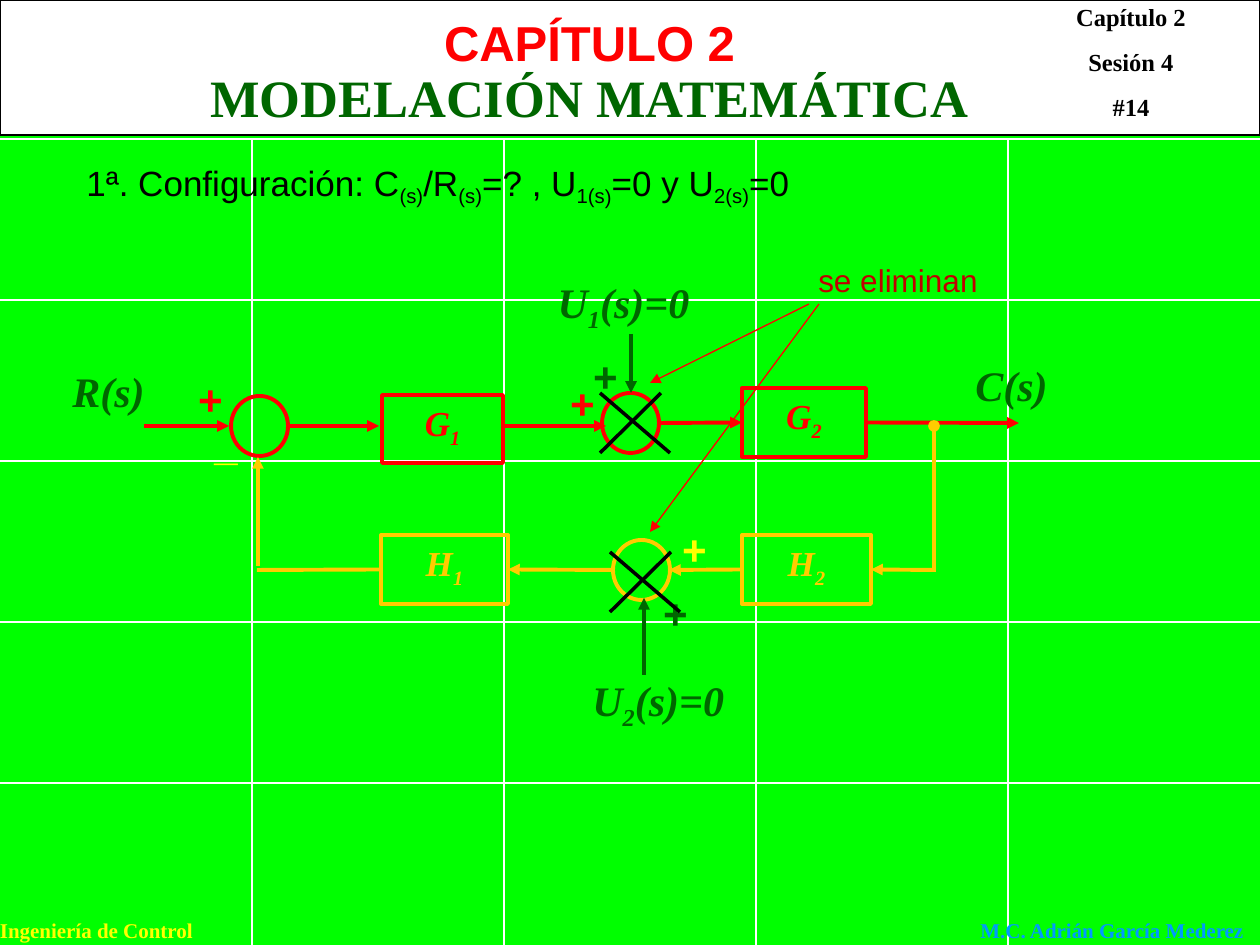
import pptx
import pptx.util
import pptx.dml.color
import pptx.enum.shapes
import pptx.enum.text
import pptx.oxml.ns
from lxml import etree

SCALE = 914400 / 126
WIDTH, HEIGHT = 1260, 945
Color = pptx.dml.color.RGBColor
WHITE = Color(0xFF, 0xFF, 0xFF)
BLACK = Color(0x00, 0x00, 0x00)
BRIGHT_GREEN = Color(0x00, 0xFF, 0x00)
DARK_GREEN = Color(0x00, 0x66, 0x00)
RED = Color(0xFF, 0x00, 0x00)
DARK_RED = Color(0xC0, 0x00, 0x00)
GOLD = Color(0xFF, 0xCC, 0x00)
YELLOW = Color(0xFF, 0xFF, 0x00)
BLUE = Color(0x00, 0x99, 0xFF)
SERIF, SANS = "Times New Roman", "Arial"
LEFT = pptx.enum.text.PP_ALIGN.LEFT
CENTER = pptx.enum.text.PP_ALIGN.CENTER
SHAPES = pptx.enum.shapes.MSO_SHAPE
TOP_SIDE, LEFT_SIDE, BOTTOM_SIDE, RIGHT_SIDE = range(4)


def px(length):
    """Turn pixels into EMU."""
    return pptx.util.Emu(round(length * SCALE))


def fill_frame(frame, paragraphs, size, font, color, bold=False, italic=False,
               align=LEFT, gap=0):
    """Write paragraphs of runs; a run is a text or a (text, baseline) pair."""
    for index, runs in enumerate(paragraphs):
        para = frame.add_paragraph() if index else frame.paragraphs[0]
        para.alignment = align
        if index:
            para.space_before = pptx.util.Pt(gap)
        for run in runs:
            text, baseline = run if isinstance(run, tuple) else (run, 0)
            span = para.add_run()
            span.text = text
            span.font.size = pptx.util.Pt(size)
            span.font.name = font
            span.font.color.rgb = color
            span.font.bold = bold
            span.font.italic = italic
            if baseline:
                span.font._element.set("baseline", str(baseline * 1000))


def add_text(page, bounds, paragraphs, size, font, color, wrap=True, **style):
    """Add a text box."""
    box = page.shapes.add_textbox(*map(px, bounds))
    box.text_frame.word_wrap = wrap
    fill_frame(box.text_frame, paragraphs, size, font, color, **style)


def add_outline(page, kind, bounds, color, weight=2.25, fill=None):
    """Add an outlined shape, hollow unless a fill is given."""
    shape = page.shapes.add_shape(kind, *map(px, bounds))
    shape.shadow.inherit = False
    shape.line.color.rgb = color
    shape.line.width = pptx.util.Pt(weight)
    if fill is None:
        shape.fill.background()
    else:
        shape.fill.solid()
        shape.fill.fore_color.rgb = fill
    return shape


def add_block(page, bounds, letter, index, color):
    """Add a transfer-function block with a subscripted name."""
    block = add_outline(page, SHAPES.RECTANGLE, bounds, color)
    block.text_frame.vertical_anchor = pptx.enum.text.MSO_ANCHOR.TOP
    fill_frame(block.text_frame, [[letter, (index, -25)]], 20, SERIF, color,
               bold=True, italic=True, align=CENTER)
    return block


def add_line(page, ends, color, weight=2.25, tip=None, start=None, finish=None):
    """Add a straight line, with an optional tip and joined blocks."""
    line = page.shapes.add_connector(
        pptx.enum.shapes.MSO_CONNECTOR.STRAIGHT, *map(px, ends))
    line.line.color.rgb = color
    line.line.width = pptx.util.Pt(weight)
    if tip:
        tail = etree.SubElement(line.line._get_or_add_ln(), pptx.oxml.ns.qn("a:tailEnd"))
        tail.set("type", tip)
    etree.SubElement(line._element.spPr, pptx.oxml.ns.qn("a:effectLst"))
    if start:
        line.begin_connect(*start)
    if finish:
        line.end_connect(*finish)


def add_cross(page, left, top):
    """Strike out a summing point."""
    add_line(page, (left, top, left + 70, top + 60), BLACK, 2)
    add_line(page, (left + 61, top, left, top + 60), BLACK, 2)


def add_background(page):
    """Add the grid, header band and footers."""
    page.background.fill.solid()
    page.background.fill.fore_color.rgb = BRIGHT_GREEN
    for column in range(1, 5):
        add_line(page, (252 * column, 139, 252 * column, HEIGHT), WHITE, 1)
    for row in range(5):
        y = 139 + 161 * row
        add_line(page, (0, y, WIDTH, y), WHITE, 1)
    add_outline(page, SHAPES.RECTANGLE, (0, 0, WIDTH, 135), BLACK, 0.75, WHITE)
    add_text(page, (-15, 911, 223, 38), [["Ingeniería de Control"]], 12, SERIF,
             YELLOW, bold=True, align=CENTER)
    add_text(page, (968, 911, 290, 38), [["M.C. Adrián García Mederez"]], 12,
             SERIF, BLUE, wrap=False, bold=True)
    add_text(page, (1027, -4, 208, 132), [["Capítulo 2"], ["Sesión 4"], ["#14"]],
             14, SERIF, BLACK, bold=True, align=CENTER, gap=8.8)


def add_headings(page):
    """Add the title lines and the question."""
    add_text(page, (74, 155, 794, 60),
             [["1ª. Configuración: C", ("(s)", -20), "/R", ("(s)", -20), "=? , U",
               ("1(s", -20), (")", -25), "=0 y U", ("2(s)", -20), "=0"]],
             20, SANS, BLACK)
    add_text(page, (113, 6, 953, 72), [["CAPÍTULO 2"]], 28, SANS, RED,
             bold=True, align=CENTER)
    add_text(page, (113, 59, 953, 76), [["MODELACIÓN MATEMÁTICA"]], 30, SERIF,
             DARK_GREEN, bold=True, align=CENTER)


def add_diagram(page):
    """Add blocks, summing points and signal lines."""
    g1 = add_block(page, (382, 395, 121, 68), "G", "1", RED)
    g2 = add_block(page, (742, 388, 124, 69), "G", "2", RED)
    h1 = add_block(page, (381, 535, 127, 69), "H", "1", GOLD)
    h2 = add_block(page, (742, 535, 129, 69), "H", "2", GOLD)
    for left, top, color in ((231, 396, RED), (602, 393, RED), (613, 540, GOLD)):
        add_outline(page, SHAPES.OVAL, (left, top, 57, 60), color)

    arrow = "triangle"
    add_line(page, (144, 426, 229, 426), RED, tip=arrow)
    add_line(page, (290, 426, 379, 426), RED, tip=arrow)
    add_line(page, (503, 426, 606, 426), RED, tip=arrow)
    add_line(page, (659, 423, 742, 423), RED, tip=arrow, finish=(g2, LEFT_SIDE))
    add_line(page, (866, 423, 1019, 423), RED, tip=arrow, start=(g2, RIGHT_SIDE))
    add_line(page, (936, 570, 871, 570), GOLD, tip=arrow, finish=(h2, RIGHT_SIDE))
    add_line(page, (742, 570, 669, 570), GOLD, tip=arrow, start=(h2, LEFT_SIDE))
    add_line(page, (615, 570, 508, 570), GOLD, tip=arrow, finish=(h1, RIGHT_SIDE))
    add_line(page, (381, 570, 257, 570), GOLD, start=(h1, LEFT_SIDE))
    add_line(page, (258, 566, 258, 457), GOLD, tip=arrow)
    add_line(page, (934, 570, 934, 426), GOLD, tip="oval")
    add_line(page, (631, 334, 631, 393), DARK_GREEN, tip=arrow)
    add_line(page, (644, 675, 644, 598), DARK_GREEN, tip=arrow)


def add_labels(page):
    """Add signal names and signs."""
    for bounds, runs, align in (
            ((60, 359, 152, 76), ["R(s)"], LEFT),
            ((963, 353, 135, 73), ["C(s)"], LEFT),
            ((543, 270, 161, 71), ["U", ("1", -25), "(s)=0"], CENTER),
            ((580, 668, 179, 71), ["U", ("2", -25), "(s)=0"], LEFT)):
        add_text(page, bounds, [runs], 24, SERIF, DARK_GREEN, bold=True,
                 italic=True, align=align)
    for left, top, sign, color in (
            (204, 412, "_", YELLOW), (185, 367, "+", RED), (557, 371, "+", RED),
            (669, 517, "+", YELLOW), (650, 581, "+", DARK_GREEN),
            (580, 344, "+", DARK_GREEN)):
        add_text(page, (left, top, 58, 63), [[sign]], 24, SANS, color,
                 bold=True, italic=True)


def add_elimination(page):
    """Strike out both disturbances and point at them."""
    add_cross(page, 600, 393)
    add_cross(page, 610, 552)
    add_text(page, (759, 255, 278, 50), [["se eliminan"]], 18, SANS, DARK_RED,
             align=CENTER)
    for ends in ((809, 304, 650, 383), (819, 304, 650, 532)):
        add_line(page, ends, RED, 0.75, "triangle")


def main():
    """Build and save the slide."""
    deck = pptx.Presentation()
    deck.slide_width, deck.slide_height = px(WIDTH), px(HEIGHT)
    page = deck.slides.add_slide(deck.slide_layouts[6])
    add_background(page)
    add_headings(page)
    add_diagram(page)
    add_labels(page)
    add_elimination(page)
    deck.save("out.pptx")


if __name__ == "__main__":
    main()
